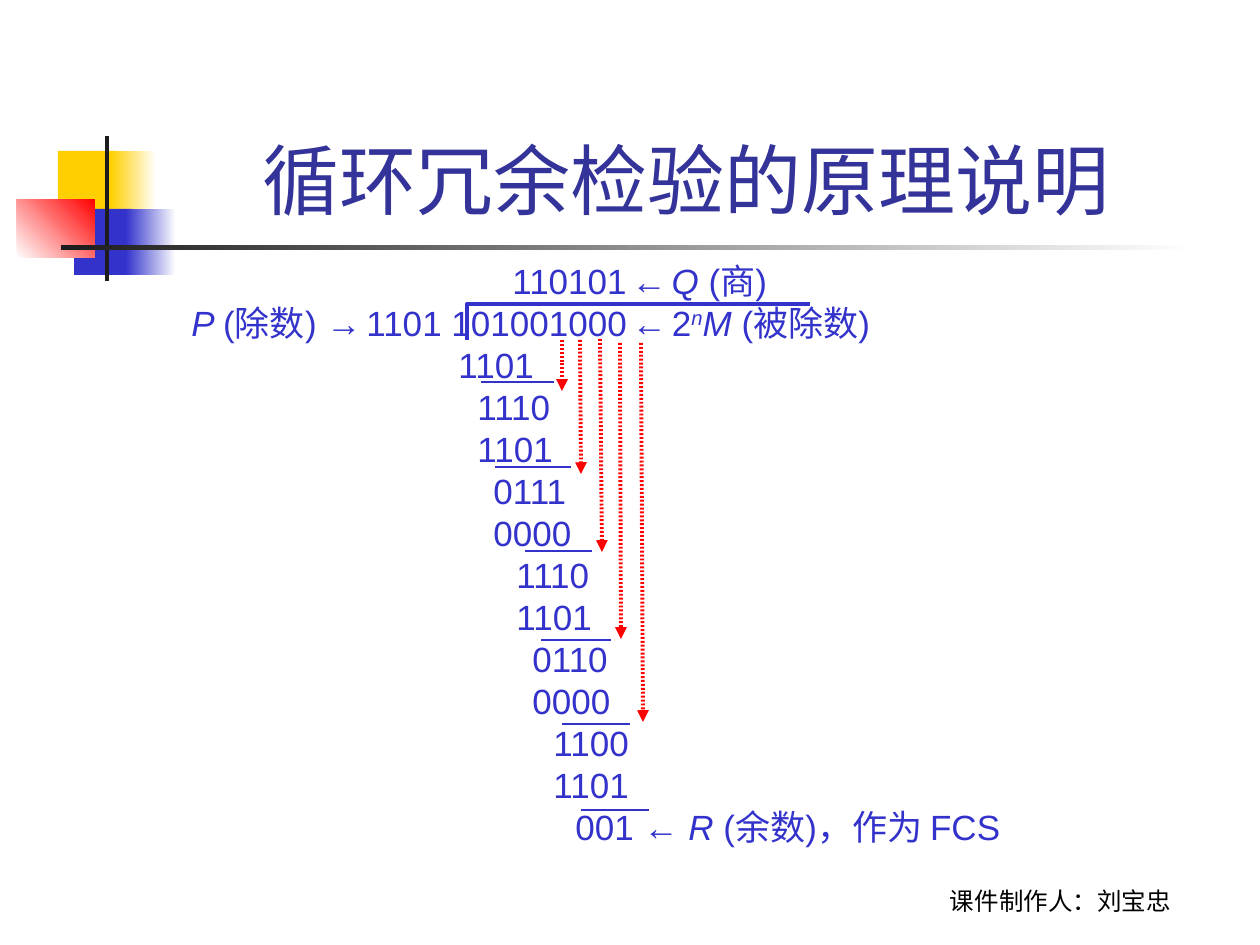
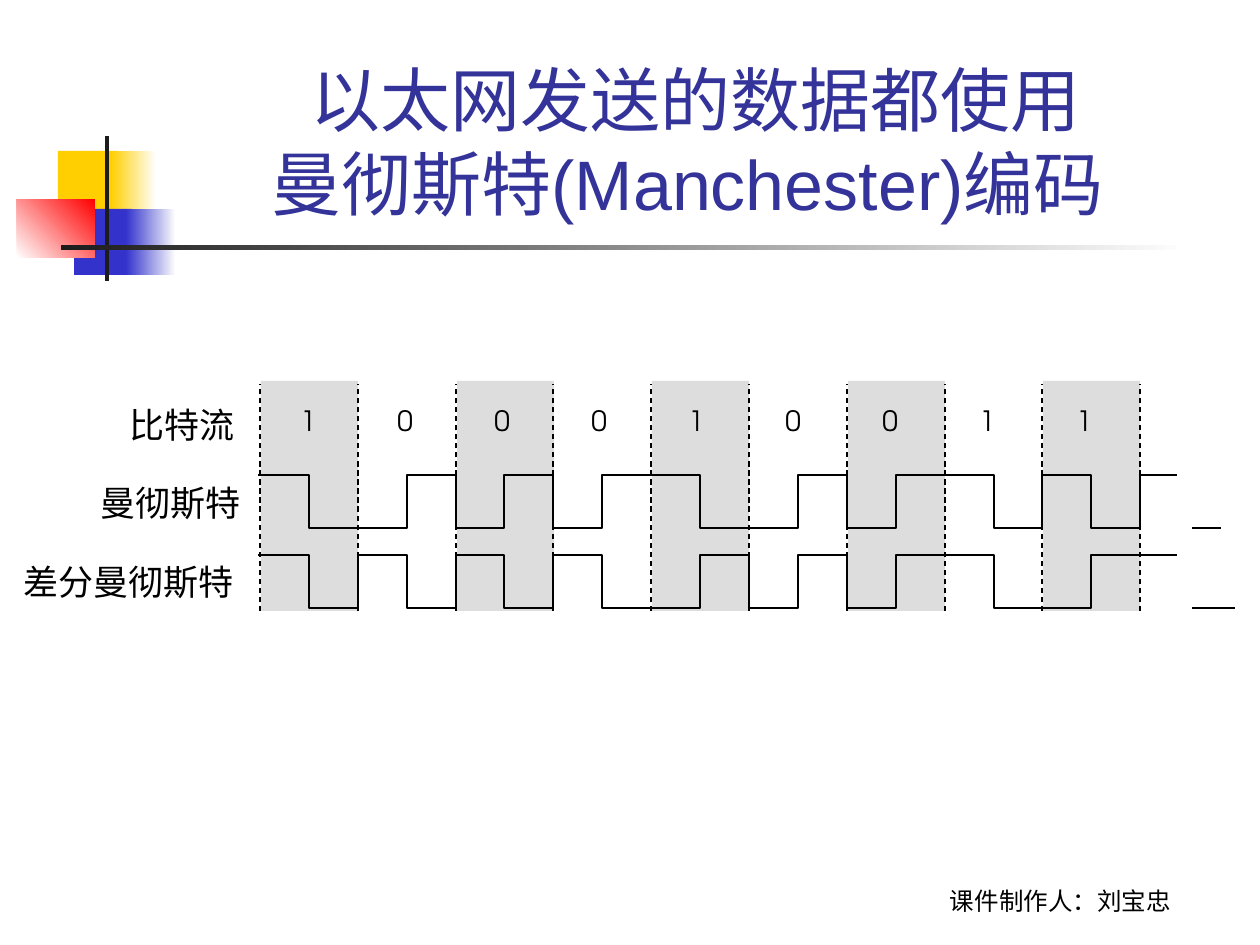
from lxml import etree
from pptx import Presentation
from pptx.dml.color import RGBColor
from pptx.enum.dml import MSO_LINE
from pptx.enum.shapes import MSO_CONNECTOR, MSO_SHAPE
from pptx.enum.text import MSO_ANCHOR, MSO_AUTO_SIZE, PP_ALIGN
from pptx.oxml.ns import qn
from pptx.util import Emu, Pt

SCALE = 914400 / 126  # EMU per px
LEFT, CENTER = PP_ALIGN.LEFT, PP_ALIGN.CENTER
TOP, BOTTOM = MSO_ANCHOR.TOP, MSO_ANCHOR.BOTTOM
RECTANGLE = MSO_SHAPE.RECTANGLE
STRAIGHT = MSO_CONNECTOR.STRAIGHT
DASHED = MSO_LINE.DASH
TITLE_ONLY = 5

COLORS = {
    "title": "333399", "blue": "3333CC", "yellow": "FFCF01", "red": "FF0000",
    "dark": "1C1C1C", "gray": "DDDDDD", "black": "000000", "white": "FFFFFF",
}

# Corner ornament: left, top, width, height, colours, gradient angle
ORNAMENT = [
    (58, 151, 60, 66, ["yellow"], 0),
    (111, 151, 45, 66, ["yellow", "white"], 0),
    (74, 209, 58, 66, ["blue"], 0),
    (126, 209, 50, 66, ["blue", "white"], 0),
    (17, 199, 78, 59, ["white", "red"], 45),
    (105, 136, 4, 145, ["dark"], 0),
    (61, 245, 1134, 5, ["dark", "white"], 0),
]

# Long division: indent and runs (text, size, style) of each row
GAP = (" ", 10, "")
DIVISION_ROWS = [
    (360, [("110101", 20, ""), GAP, ("←", 20, ""), GAP, ("Q ", 20, "i"), ("(商)", 20, "")]),
    (39, [("P ", 20, "i"), ("(除数) ", 20, ""), ("→", 20, "b"), GAP,
          ("1101 101001000", 20, ""), GAP, ("←", 20, ""), GAP, ("2", 20, ""),
          ("n", 20, "i^"), ("M ", 20, "i"), ("(被除数)", 20, "")]),
] + [(indent, [(digits, 20, "")]) for indent, digits in [
    (306, "1101"), (325, "1110"), (325, "1101"), (341, "0111"), (341, "0000"),
    (364, "1110"), (364, "1101"), (380, "0110"), (380, "0000"),
    (401, "1100"), (401, "1101"),
]] + [
    (423, [("001 ← ", 20, ""), ("R", 20, "i"), (" (余数)，作为 FCS", 20, "")]),
]
DIVISION_BRACKET = [(467, 340), (467, 304), (810, 304)]
BRING_DOWN_ARROWS = [(562, 340, 562, 391), (580, 340, 581, 474), (600, 339, 602, 552),
                     (620, 343, 621, 639), (641, 343, 643, 722)]
SUBTRACTION_LINES = [(481, 554, 382), (495, 571, 467), (525, 592, 551),
                     (541, 611, 640), (562, 630, 724), (581, 649, 810)]

# Signal diagram
BITS = "1000100111"
LABELLED_BITS = 9
HALF_CELL = 48.9
GRID_LEFT, GRID_TOP, GRID_BOTTOM = 260, 381, 611
WAVE_HEIGHT = 53
SIGNAL_LABELS = [("比特流", 117, 397, 140), ("曼彻斯特", 88, 475, 175),
                 ("差分曼彻斯特", 11, 554, 245)]


def px(value):
    return Emu(round(value * SCALE))


def color(name):
    return RGBColor.from_string(COLORS[name])


def add_run(paragraph, text, size, font_name, color_name, style=""):
    run = paragraph.add_run()
    run.text = text
    font = run.font
    font.name, font.size = font_name, Pt(size)
    font.bold, font.italic = "b" in style, "i" in style
    font.color.rgb = color(color_name)
    if "^" in style:
        font._element.set("baseline", "30000")


def add_text_box(slide, left, top, width, height, wrap=False, anchor=TOP):
    box = slide.shapes.add_textbox(px(left), px(top), px(width), px(height))
    frame = box.text_frame
    frame.word_wrap = wrap
    frame.vertical_anchor = anchor
    return frame


def add_label(slide, text, left, top, width, height, size, font_name):
    frame = add_text_box(slide, left, top, width, height)
    add_run(frame.paragraphs[0], text, size, font_name, "black")


def add_rectangle(slide, left, top, width, height, fill_colors, angle=0):
    shape = slide.shapes.add_shape(RECTANGLE, px(left), px(top), px(width), px(height))
    shape.shadow.inherit = False
    shape.line.fill.background()
    if len(fill_colors) == 1:
        shape.fill.solid()
        shape.fill.fore_color.rgb = color(fill_colors[0])
    else:
        shape.fill.gradient()
        shape.fill.gradient_angle = angle
        for stop, name in zip(shape.fill.gradient_stops, fill_colors):
            stop.color.rgb = color(name)
    return shape


def add_line(slide, x1, y1, x2, y2, color_name, width, dash=None):
    connector = slide.shapes.add_connector(STRAIGHT, px(x1), px(y1), px(x2), px(y2))
    connector.line.color.rgb = color(color_name)
    connector.line.width = Pt(width)
    if dash:
        connector.line.dash_style = dash
    etree.SubElement(connector._element.spPr, qn("a:effectLst"))
    return connector


def add_dotted_arrow(slide, x1, y1, x2, y2):
    """Draw a red arrow with dots half a line width long and apart."""
    connector = add_line(slide, x1, y1, x2, y2, "red", 2.25)
    line_xml = connector._element.spPr.find(qn("a:ln"))
    dots = etree.SubElement(line_xml, qn("a:custDash"))
    etree.SubElement(dots, qn("a:ds"), d="50000", sp="50000")
    etree.SubElement(line_xml, qn("a:tailEnd"), type="triangle")


def add_polyline(slide, points, color_name, width):
    builder = slide.shapes.build_freeform(*points[0], scale=SCALE)
    builder.add_line_segments(points[1:], close=False)
    shape = builder.convert_to_shape()
    shape.shadow.inherit = False
    shape.fill.background()
    shape.line.color.rgb = color(color_name)
    shape.line.width = Pt(width)


def add_slide(presentation, title_lines, title_size):
    """Start a slide with the shared ornament, footer and title."""
    slide = presentation.slides.add_slide(presentation.slide_layouts[TITLE_ONLY])
    for left, top, width, height, fill_colors, angle in ORNAMENT:
        add_rectangle(slide, left, top, width, height, fill_colors, angle)

    footer = add_text_box(slide, 861, 859, 399, 63, wrap=True, anchor=BOTTOM)
    footer.paragraphs[0].alignment = CENTER
    add_run(footer.paragraphs[0], "课件制作人：刘宝忠", 14, "Roboto", "black")

    title = slide.shapes.title
    title.left, title.top, title.width, title.height = map(px, (159, 29, 1073, 202))
    title.text_frame.vertical_anchor = BOTTOM
    title.text_frame.auto_size = MSO_AUTO_SIZE.NONE
    paragraph = title.text_frame.paragraphs[0]
    paragraph.alignment = CENTER
    for index, text in enumerate(title_lines):
        if index:
            paragraph.add_line_break()
        add_run(paragraph, text, title_size, "Arial", "title")
    return slide


def add_division_text(slide):
    frame = add_text_box(slide, 140, 253, 1116, 601, wrap=True)
    for index, (indent, runs) in enumerate(DIVISION_ROWS):
        paragraph = frame.add_paragraph() if index else frame.paragraphs[0]
        paragraph.alignment = LEFT
        paragraph.line_spacing = Pt(24)
        paragraph._p.get_or_add_pPr().set("marL", str(px(indent)))
        for text, size, style in runs:
            add_run(paragraph, text, size, "Arial", "blue", style)


def build_division_slide(presentation):
    slide = add_slide(presentation, ["循环冗余检验的原理说明 "], 44)
    add_division_text(slide)
    add_polyline(slide, DIVISION_BRACKET, "blue", 2.25)
    for arrow in BRING_DOWN_ARROWS:
        add_dotted_arrow(slide, *arrow)
    for left, right, y in SUBTRACTION_LINES:
        add_line(slide, left, y, right, y, "blue", 1.5)


def manchester_levels(bits):
    return "".join("HL" if bit == "1" else "LH" for bit in bits)


def differential_levels(bits):
    """A 0 switches level at the start of its cell; every cell switches midway."""
    level, levels = "H", ""
    for bit in bits:
        keeps_level = bit == "1"
        levels += "HL" if (level == "H") == keeps_level else "LH"
        level = levels[-1]
    return levels


def grid_x(half_cells):
    return round(GRID_LEFT + HALF_CELL * half_cells)


def add_wave(slide, levels, top, end):
    """Draw a square wave with one level per half cell."""
    heights = {"H": top, "L": top + WAVE_HEIGHT}
    points = [(GRID_LEFT - 2, heights[levels[0]])]
    for index in range(1, len(levels)):
        before, after = levels[index - 1], levels[index]
        if before != after:
            points += [(grid_x(index), heights[before]), (grid_x(index), heights[after])]
    points.append((end, heights[levels[-1]]))
    add_polyline(slide, points, "black", 0.75)


def build_manchester_slide(presentation):
    slide = add_slide(presentation, ["以太网发送的数据都使用", "曼彻斯特(Manchester)编码 "], 40)

    # Shaded cells, bit values and cell borders
    for cell in range(0, LABELLED_BITS, 2):
        add_rectangle(slide, grid_x(2 * cell) + 1, GRID_TOP, 97, GRID_BOTTOM - GRID_TOP, ["gray"])
    for cell, bit in enumerate(BITS[:LABELLED_BITS]):
        add_label(slide, bit, 288 + 97 * cell, 397, 42, 45, 16, "TeX Gyre Adventor")
    for border in range(LABELLED_BITS + 1):
        x = grid_x(2 * border)
        add_line(slide, x, GRID_BOTTOM, x, GRID_TOP + 3, "black", 0.75, dash=DASHED)

    # Signals and their names
    add_wave(slide, manchester_levels(BITS), 475, 1221)
    add_wave(slide, differential_levels(BITS), 555, 1235)
    for text, left, top, width in SIGNAL_LABELS:
        add_label(slide, text, left, top, width, 54, 20, "Times New Roman")

    # White break in the signals
    signal_break = add_rectangle(slide, 1178, 244, 13, 368, ["white"])
    signal_break.line.color.rgb = color("white")
    signal_break.line.width = Pt(0.75)


def main():
    presentation = Presentation()
    presentation.slide_width, presentation.slide_height = px(1260), px(945)
    build_division_slide(presentation)
    build_manchester_slide(presentation)
    presentation.save("out.pptx")


if __name__ == "__main__":
    main()
